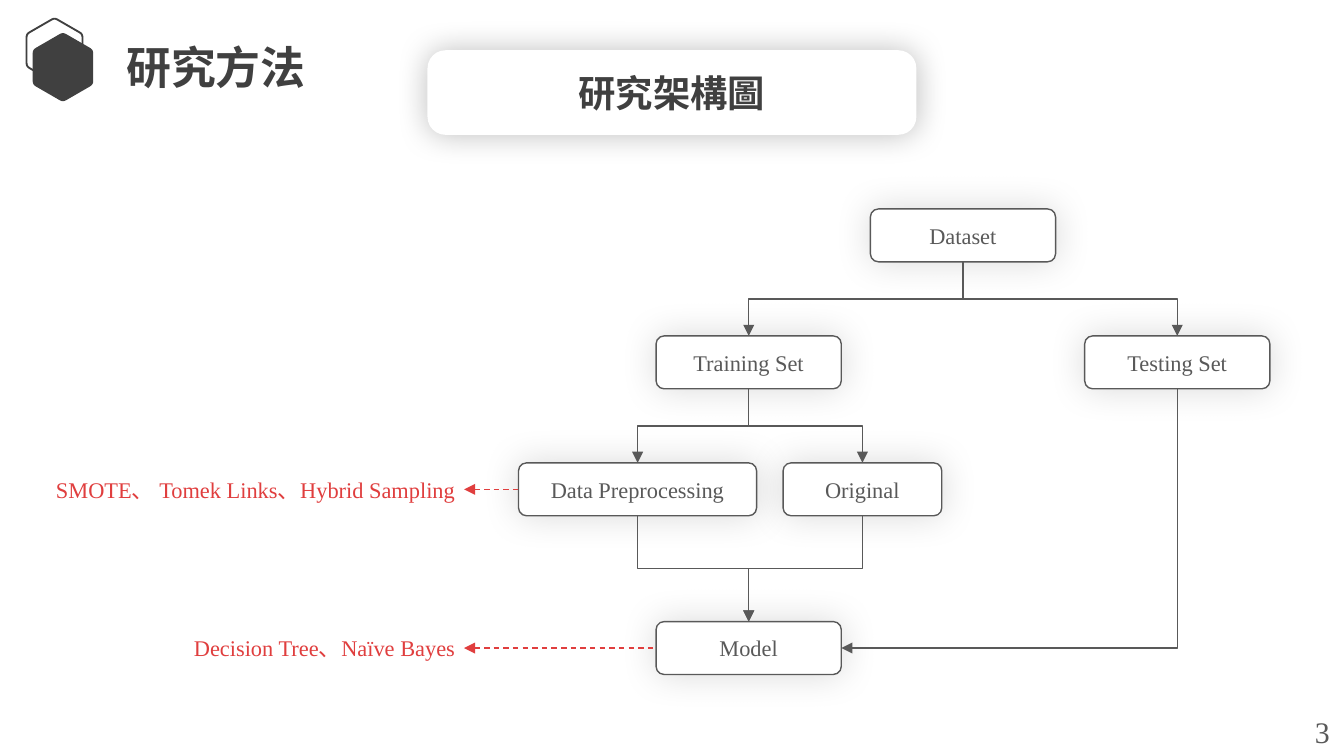
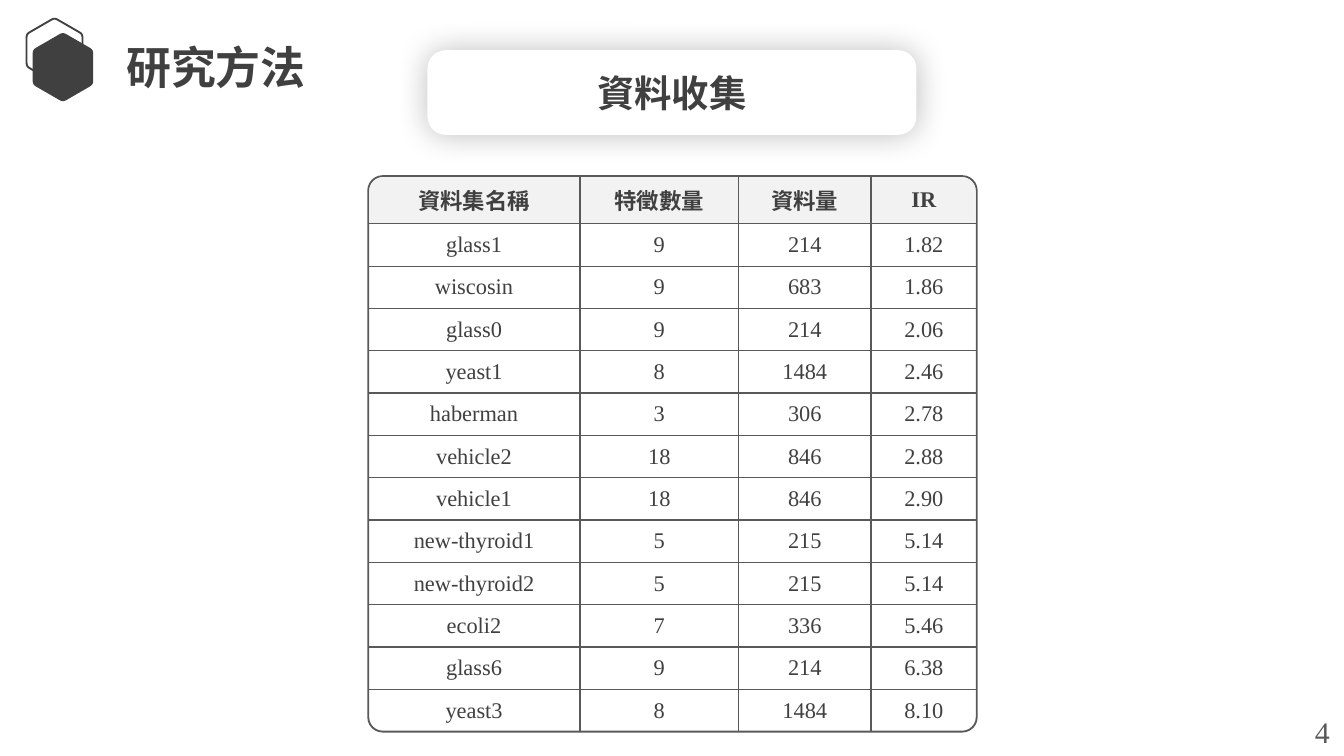
from dataclasses import dataclass
from math import cos, pi, sin

from lxml import etree
from pptx import Presentation
from pptx.dml.color import RGBColor
from pptx.enum.dml import MSO_LINE
from pptx.enum.shapes import MSO_CONNECTOR, MSO_SHAPE
from pptx.enum.text import MSO_ANCHOR, MSO_AUTO_SIZE, PP_ALIGN
from pptx.oxml.ns import qn
from pptx.util import Cm, Pt

ROUNDED, TOP_ROUNDED = MSO_SHAPE.ROUNDED_RECTANGLE, MSO_SHAPE.ROUND_2_SAME_RECTANGLE
STRAIGHT, ELBOW, DASH = MSO_CONNECTOR.STRAIGHT, MSO_CONNECTOR.ELBOW, MSO_LINE.DASH
LEFT, CENTER, RIGHT = PP_ALIGN.LEFT, PP_ALIGN.CENTER, PP_ALIGN.RIGHT
TOP, MIDDLE = MSO_ANCHOR.TOP, MSO_ANCHOR.MIDDLE
GROW = MSO_AUTO_SIZE.SHAPE_TO_FIT_TEXT


@dataclass(frozen=True)
class Theme:
    font: str = "Times New Roman"
    dark: RGBColor = RGBColor(0x40, 0x40, 0x40)
    gray: RGBColor = RGBColor(0x59, 0x59, 0x59)
    pale: RGBColor = RGBColor(0xF2, 0xF2, 0xF2)
    white: RGBColor = RGBColor(0xFF, 0xFF, 0xFF)
    red: RGBColor = RGBColor(0xE0, 0x3E, 0x3E)
    title: Pt = Pt(24)
    banner: Pt = Pt(20)
    number: Pt = Pt(16)
    body: Pt = Pt(12)
    thin: Pt = Pt(0.75)
    outline: Pt = Pt(1)


theme = Theme()


def write(frame, text, size, color, bold=False, align=CENTER, anchor=MIDDLE,
          inset=(0.25, 0.13), spacing=0, wrap=True):
    """Put one styled run into a text frame."""
    frame.word_wrap, frame.vertical_anchor = wrap, anchor
    frame.margin_left = frame.margin_right = Cm(inset[0])
    frame.margin_top = frame.margin_bottom = Cm(inset[1])
    para = frame.paragraphs[0]
    para.alignment = align
    para.space_before = para.space_after = Pt(spacing)
    span = para.add_run()
    span.text = text
    span.font.name, span.font.size, span.font.bold = theme.font, size, bold
    span.font.color.rgb = color


def add_box(page, kind, area, corner, fill=None, line=None, width=theme.thin, shadow=None):
    """Add a rounded shape; shadow is (opacity in percent, blur in points)."""
    box = page.shapes.add_shape(kind, *(Cm(value) for value in area))
    box.adjustments[0] = corner
    box.shadow.inherit = False
    if fill is None:
        box.fill.background()
    else:
        box.fill.solid()
        box.fill.fore_color.rgb = fill
    if line is None:
        box.line.fill.background()
    else:
        box.line.color.rgb, box.line.width = line, width
    if shadow:
        opacity, blur = shadow
        effects = box._element.spPr.find(qn("a:effectLst"))
        outer = etree.SubElement(effects, qn("a:outerShdw"), blurRad=str(Pt(blur)),
                                 dist="0", dir="0", algn="ctr", rotWithShape="0")
        color = etree.SubElement(outer, qn("a:srgbClr"), val="000000")
        etree.SubElement(color, qn("a:alpha"), val=str(opacity * 1000))
    return box


deck = Presentation()
deck.slide_width, deck.slide_height = Cm(25.4), Cm(14.29)

# Shared parts: hexagons, title, page number and banner
pages = []
for number, banner_text in ((3, "研究架構圖"), (4, "資料收集")):
    page = deck.slides.add_slide(deck.slide_layouts[6])
    pages.append(page)

    for center_x, center_y, radius, filled in ((1.03, 0.95, 0.61, False), (1.19, 1.27, 0.66, True)):
        corners = [(center_x + radius * sin(step * pi / 3), center_y - radius * cos(step * pi / 3))
                   for step in range(6)]
        outline = []
        for index, (x, y) in enumerate(corners):
            before, after = corners[index - 1], corners[(index + 1) % 6]
            # Each corner is a short quadratic curve between its two edges
            for t in (0, 0.25, 0.5, 0.75, 1):
                back, ahead = 0.1 * (1 - t) ** 2, 0.1 * t ** 2
                outline.append((Cm(x + back * (before[0] - x) + ahead * (after[0] - x)),
                                Cm(y + back * (before[1] - y) + ahead * (after[1] - y))))
        builder = page.shapes.build_freeform(*outline[0])
        builder.add_line_segments(outline[1:], close=True)
        hexagon = builder.convert_to_shape()
        hexagon.shadow.inherit = False
        if filled:
            hexagon.fill.solid()
            hexagon.fill.fore_color.rgb = theme.dark
            hexagon.line.fill.background()
        else:
            hexagon.fill.background()
            hexagon.line.color.rgb, hexagon.line.width = theme.dark, theme.outline

    title = page.shapes.add_textbox(Cm(2.21), Cm(0.66), Cm(5.4), Cm(1.22))
    write(title.text_frame, "研究方法", theme.title, theme.dark, True, LEFT, TOP, (0.18, 0.1))
    title.text_frame.auto_size = GROW

    page_number = page.shapes.add_textbox(Cm(24.6), Cm(13.36), Cm(0.79), Cm(0.94))
    write(page_number.text_frame, str(number), theme.number, theme.gray,
          align=LEFT, anchor=TOP, wrap=False)
    page_number.text_frame.auto_size = GROW

    banner = add_box(page, ROUNDED, (8.08, 0.95, 9.24, 1.6), 0.214, theme.white, shadow=(25, 17))
    write(banner.text_frame, banner_text, theme.banner, theme.dark, True)

flow_page, data_page = pages

# Method notes beside the flow
for text, area in (("SMOTE、 Tomek Links、Hybrid Sampling", (0.87, 8.5, 7.9, 1.5)),
                   ("Decision Tree、Naïve Bayes", (1.77, 11.5, 7, 1.5))):
    note = add_box(flow_page, ROUNDED, area, 0.152)
    write(note.text_frame, text, theme.body, theme.red, align=RIGHT, inset=(0.1, 0.1), spacing=3)

# Flow boxes: centre x, centre y, width
box_height = 1
steps = {
    "Training Set": (14.15, 6.85, 3.5),
    "Dataset": (18.2, 4.45, 3.5),
    "Testing Set": (22.25, 6.85, 3.5),
    "Data Preprocessing": (12.05, 9.25, 4.5),
    "Original": (16.3, 9.25, 3),
    "Model": (14.15, 12.25, 3.5),
}
for text, (x, y, width) in steps.items():
    area = (x - width / 2, y - box_height / 2, width, box_height)
    box = add_box(flow_page, ROUNDED, area, 0.152, theme.white, theme.gray, shadow=(15, 20))
    write(box.text_frame, text, theme.body, theme.gray, inset=(0.1, 0.1), spacing=6)

# Arrows: elbows leave a box downwards, dashed lines point at the notes
arrows = []
for source, target in (("Dataset", "Training Set"), ("Dataset", "Testing Set"),
                       ("Training Set", "Data Preprocessing"), ("Training Set", "Original"),
                       ("Data Preprocessing", "Model"), ("Original", "Model"),
                       ("Testing Set", "Model")):
    (start_x, start_y, _), (end_x, end_y, end_width) = steps[source], steps[target]
    start_y += box_height / 2
    enters_side = source == "Testing Set"
    if enters_side:
        end_x += end_width / 2
    else:
        end_y -= box_height / 2
    # The elbow is laid out sideways around its midpoint, then turned
    across, down = abs(end_x - start_x), end_y - start_y
    left = (start_x + end_x - down) / 2
    top = (start_y + end_y - across) / 2
    arrow = flow_page.shapes.add_connector(ELBOW, Cm(left), Cm(top), Cm(left + down), Cm(top + across))
    frame = arrow._element.spPr.find(qn("a:xfrm"))
    if end_x < start_x:
        frame.set("rot", "5400000")
    else:
        frame.set("rot", "16200000")
        frame.set("flipH", "1")
    if enters_side:
        arrow._element.spPr.find(qn("a:prstGeom")).set("prst", "bentConnector2")
    arrows.append((arrow, theme.gray, "a:tailEnd"))

for source in ("Data Preprocessing", "Model"):
    x, y, width = steps[source]
    arrow = flow_page.shapes.add_connector(STRAIGHT, Cm(8.77), Cm(y), Cm(x - width / 2), Cm(y))
    arrow.line.dash_style = DASH
    arrows.append((arrow, theme.red, "a:headEnd"))

for arrow, color, end in arrows:
    arrow.line.color.rgb, arrow.line.width = color, theme.thin
    etree.SubElement(arrow.line._get_or_add_ln(), qn(end), type="triangle")
    etree.SubElement(arrow._element.spPr, qn("a:effectLst"))

# Rounded frame and header band behind the table
add_box(data_page, ROUNDED, (6.96, 3.33, 11.5, 10.5), 0.026, theme.white, theme.gray, theme.outline)
add_box(data_page, TOP_ROUNDED, (6.98, 3.35, 11.46, 0.88), 0.297, theme.pale)

# Dataset table
rows = (
    ("資料集名稱", "特徵數量", "資料量", "IR"),
    ("glass1", "9", "214", "1.82"),
    ("wiscosin", "9", "683", "1.86"),
    ("glass0", "9", "214", "2.06"),
    ("yeast1", "8", "1484", "2.46"),
    ("haberman", "3", "306", "2.78"),
    ("vehicle2", "18", "846", "2.88"),
    ("vehicle1", "18", "846", "2.90"),
    ("new-thyroid1", "5", "215", "5.14"),
    ("new-thyroid2", "5", "215", "5.14"),
    ("ecoli2", "7", "336", "5.46"),
    ("glass6", "9", "214", "6.38"),
    ("yeast3", "8", "1484", "8.10"),
)
column_widths = (4, 3, 2.5, 2)
header_height, row_height = 0.9, 0.8
last_row, last_column = len(rows) - 1, len(column_widths) - 1
table = data_page.shapes.add_table(len(rows), len(column_widths), Cm(6.96), Cm(3.33), Cm(sum(column_widths)),
                                   Cm(header_height + row_height * last_row)).table
table.first_row = table.horz_banding = False
table._tbl.tblPr.find(qn("a:tableStyleId")).text = "{2D5ABB26-0587-4C30-8999-92F81FD0307C}"
for column, width in zip(table.columns, column_widths):
    column.width = Cm(width)
for row_index, values in enumerate(rows):
    table.rows[row_index].height = Cm(row_height if row_index else header_height)
    for column_index, value in enumerate(values):
        cell = table.cell(row_index, column_index)
        write(cell.text_frame, value, theme.body, theme.dark, bold=row_index == 0)
        cell.vertical_anchor = MIDDLE
        cell.margin_top = cell.margin_bottom = Cm(0.1)
        # Only inner borders: the rounded frame closes the outside
        for side, inner in (("a:lnL", column_index > 0), ("a:lnR", column_index < last_column),
                            ("a:lnT", row_index > 0), ("a:lnB", row_index < last_row)):
            if inner:
                border = etree.SubElement(cell._tc.get_or_add_tcPr(), qn(side), w=str(theme.thin))
                fill = etree.SubElement(border, qn("a:solidFill"))
                etree.SubElement(fill, qn("a:srgbClr"), val=str(theme.gray))
        cell.fill.background()

deck.save("out.pptx")
